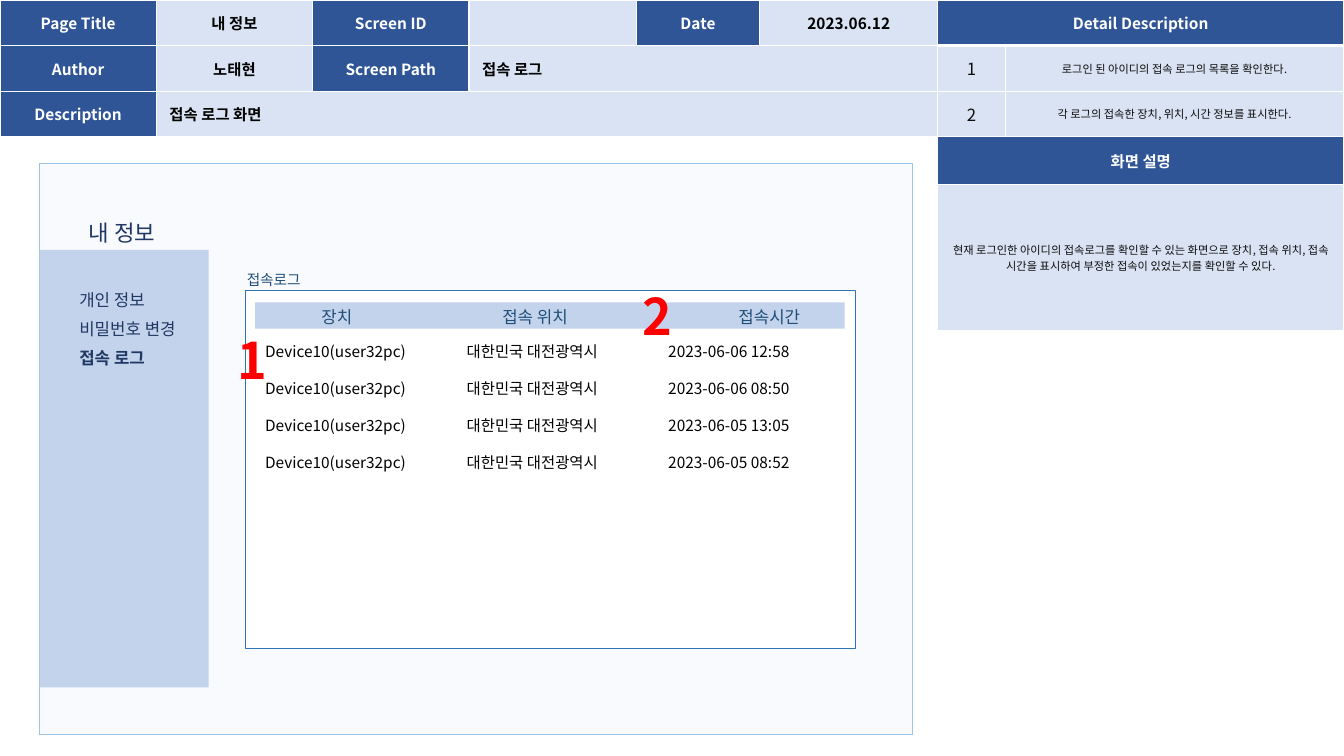
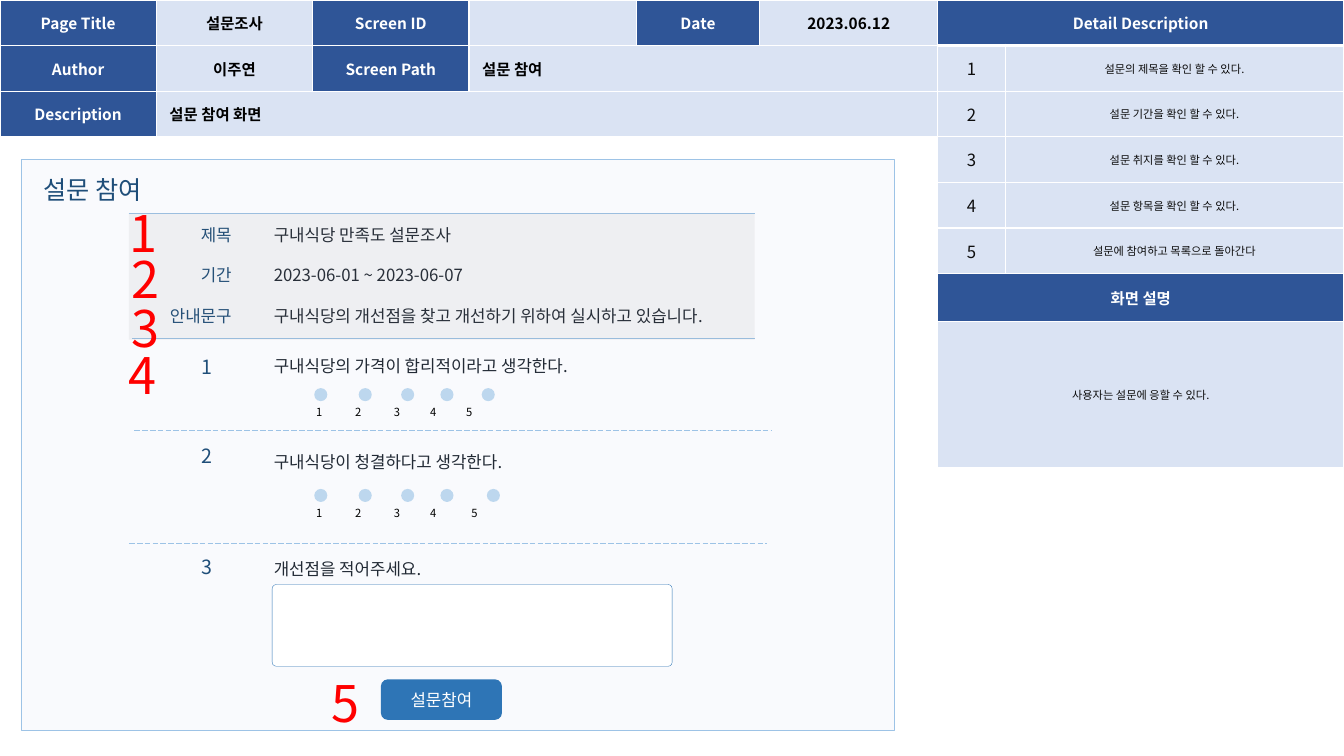
from lxml.etree import SubElement
from pptx import Presentation
from pptx.dml.color import RGBColor
from pptx.enum.dml import MSO_LINE
from pptx.enum.shapes import MSO_CONNECTOR, MSO_SHAPE
from pptx.enum.text import MSO_ANCHOR, MSO_AUTO_SIZE, PP_ALIGN
from pptx.oxml.ns import qn
from pptx.util import Cm, Pt

FONT = "Noto Sans CJK KR"
WHITE, BLACK, RED = "FFFFFF", "000000", "FF0000"
NAVY, PALE = "2F5597", "DAE3F3"
PANEL, PANEL_LINE = "F9FAFD", "9DC3E6"
SOFT_BLUE, BLUE, DOT = "B4C7E7", "2E75B6", "BDD7EE"
MENU_TEXT, LABEL_TEXT, BODY_TEXT, DETAIL_TEXT = "203864", "1F4E79", "222A35", "0D0D0D"
LINE_HEIGHT = 1.2
ROW_HEIGHT = 1.15


def color(value):
    return RGBColor.from_string(value)


def write(frame, text, size=11, ink=BLACK, bold=False, align=PP_ALIGN.LEFT,
          gap=0, tabs=(), tight=False):
    """Fill a frame, one paragraph a line; tabs are in cm, gap in points."""
    for index, line in enumerate(text.split("\n")):
        para = frame.add_paragraph() if index else frame.paragraphs[0]
        if tabs:
            stops = SubElement(para._p.get_or_add_pPr(), qn("a:tabLst"))
            for position in tabs:
                SubElement(stops, qn("a:tab"), pos=str(Cm(position)), algn="l")
        para.alignment = align
        if tight:
            para.line_spacing = Pt(size * LINE_HEIGHT)
        if index and gap:
            para.space_before = Pt(gap)
        span = para.add_run()
        span.text = line
        span.font.name = FONT
        span.font.size = Pt(size)
        span.font.bold = bold
        span.font.color.rgb = color(ink)
        SubElement(span._r.get_or_add_rPr(), qn("a:ea"), typeface=FONT)


class Storyboard:
    """Holds the deck, the current page and the look they share."""

    def __init__(self):
        self.deck = Presentation()
        self.deck.slide_width = Cm(33.87)
        self.deck.slide_height = Cm(19.05)
        self.page = None

    def start(self, name, author, path, description, details, summary, panel):
        self.page = self.deck.slides.add_slide(self.deck.slide_layouts[5])
        self.shape(*panel, 22, 14.4, PANEL, line=PANEL_LINE, weight=0.5)
        self.header_table(name, author, path, description)
        self.detail_table(details, summary)

    def title(self, text, left, top, size, ink):
        box = self.page.shapes.title
        box.left, box.top, box.width, box.height = Cm(left), Cm(top), Cm(8.3), Cm(1)
        self.set_frame(box.text_frame, size)
        write(box.text_frame, text, size=size, ink=ink, tight=True)
        box.element.getparent().append(box.element)

    def set_frame(self, frame, size):
        """Top anchor, with an inset that keeps the baseline steady at any size."""
        frame.word_wrap = True
        frame.auto_size = MSO_AUTO_SIZE.NONE
        frame.vertical_anchor = MSO_ANCHOR.TOP
        frame.margin_top = Pt(3.6 + 0.06 * size)

    def text(self, text, left, top, width=14.6, height=0.76, size=12, **style):
        box = self.page.shapes.add_textbox(Cm(left), Cm(top), Cm(width), Cm(height))
        self.set_frame(box.text_frame, size)
        write(box.text_frame, text, size=size, tight=True, **style)
        return box

    def marker(self, number, left, top, bold=False):
        self.text(str(number), left, top, 1.63, 1.8, size=36, ink=RED, bold=bold)

    def shape(self, left, top, width, height, fill, kind=MSO_SHAPE.RECTANGLE,
              line=None, weight=0.25, opacity=None, corner=None):
        shape = self.page.shapes.add_shape(kind, Cm(left), Cm(top), Cm(width), Cm(height))
        shape.shadow.inherit = False
        shape.fill.solid()
        shape.fill.fore_color.rgb = color(fill)
        if opacity is not None:
            tint = shape.element.spPr.find(qn("a:solidFill"))[0]
            SubElement(tint, qn("a:alpha"), val=str(opacity * 1000))
        if line:
            shape.line.color.rgb = color(line)
            shape.line.width = Pt(weight)
        else:
            shape.line.fill.background()
        if corner is not None:
            shape.adjustments[0] = corner
        return shape

    def rule(self, left, right, top, dashed=False):
        rule = self.page.shapes.add_connector(
            MSO_CONNECTOR.STRAIGHT, Cm(left), Cm(top), Cm(right), Cm(top))
        rule.line.color.rgb = color(PANEL_LINE)
        rule.line.width = Pt(0.5)
        if dashed:
            rule.line.dash_style = MSO_LINE.LONG_DASH
        SubElement(rule.element.spPr, qn("a:effectLst"))

    def button(self, text, *place):
        button = self.shape(*place, BLUE, MSO_SHAPE.ROUNDED_RECTANGLE)
        button.text_frame.vertical_anchor = MSO_ANCHOR.MIDDLE
        write(button.text_frame, text, size=12, ink=WHITE, align=PP_ALIGN.CENTER)

    def rating(self, top, dots, tabs):
        for left in dots:
            self.shape(left, top, 0.33, 0.33, DOT, MSO_SHAPE.OVAL)
        self.text("1\t2\t3\t4\t5", 7.72, top + 0.3, 6.1, 0.6, size=8, tabs=tabs)

    def table(self, left, columns, rows):
        frame = self.page.shapes.add_table(len(rows), len(columns), Cm(left), Cm(0),
                                           Cm(sum(columns)), Cm(sum(rows)))
        for column, width in zip(frame.table.columns, columns):
            column.width = Cm(width)
        for row, height in zip(frame.table.rows, rows):
            row.height = Cm(height)
        return frame.table

    def cell(self, cell, text="", fill=PALE, top=1, bottom=1, margin=0.33,
             align=PP_ALIGN.CENTER, **style):
        """Fill a cell; top and bottom are border widths in points."""
        cell.margin_left = cell.margin_right = Cm(margin)
        cell.margin_top = cell.margin_bottom = 0
        cell.vertical_anchor = MSO_ANCHOR.MIDDLE
        properties = cell._tc.get_or_add_tcPr()
        for side, weight in (("L", 1), ("R", 1), ("T", top), ("B", bottom)):
            edge = SubElement(properties, qn(f"a:ln{side}"), w=str(Pt(weight)))
            SubElement(SubElement(edge, qn("a:solidFill")), qn("a:srgbClr"), val=WHITE)
        cell.fill.solid()
        cell.fill.fore_color.rgb = color(fill)
        if text:
            write(cell.text_frame, text, align=align, **style)

    def header_table(self, name, author, path, description):
        rows = [["Page Title", name, "Screen ID", "", "Date", "2023.06.12"],
                ["Author", author, "Screen Path", path, "", ""],
                ["Description", description, "", "", "", ""]]
        label_columns = [(0, 2, 4), (0, 2), (0,)]
        wide_cells = [(1, 3), (2, 1)]
        table = self.table(0, [3.94, 3.94, 3.94, 4.22, 3.1, 4.5], [ROW_HEIGHT] * 3)
        for row, start in wide_cells:
            table.cell(row, start).merge(table.cell(row, 5))
        for row, texts in enumerate(rows):
            for column, text in enumerate(texts):
                label = column in label_columns[row]
                wide = (row, column) in wide_cells
                self.cell(table.cell(row, column), text, NAVY if label else PALE,
                          ink=WHITE if label else BLACK, bold=True,
                          align=PP_ALIGN.LEFT if wide else PP_ALIGN.CENTER)

    def detail_table(self, details, summary):
        count = len(details)
        table = self.table(23.63, [1.7, 8.54], [ROW_HEIGHT] * (count + 1) + [1.21, 3.68])
        heading = dict(fill=NAVY, ink=WHITE, bold=True)
        full_rows = [(0, "Detail Description", dict(heading, bottom=3)),
                     (count + 1, "화면 설명", heading),
                     (count + 2, summary, dict(size=8, ink=DETAIL_TEXT))]
        for row, text, style in full_rows:
            table.cell(row, 0).merge(table.cell(row, 1))
            self.cell(table.cell(row, 0), text, **style)
            self.cell(table.cell(row, 1), **style)
        for row, text in enumerate(details, 1):
            top = 3 if row == 1 else 1
            self.cell(table.cell(row, 0), str(row), top=top, size=12, ink=DETAIL_TEXT)
            self.cell(table.cell(row, 1), text, top=top, margin=0.25, size=8,
                      ink=DETAIL_TEXT)


def access_log(board):
    board.start("내 정보", "노태현", "접속 로그", "접속 로그 화면",
                ["로그인 된 아이디의 접속 로그의 목록을 확인한다.",
                 "각 로그의 접속한 장치, 위치, 시간 정보를 표시한다."],
                "현재 로그인한 아이디의 접속로그를 확인할 수 있는 화면으로 장치, 접속 위치, "
                "접속 시간을 표시하여 부정한 접속이 있었는지를 확인할 수 있다.",
                panel=(0.99, 4.11))
    board.title("내 정보", 1.98, 5.36, 16, MENU_TEXT)

    board.shape(0.99, 6.3, 4.27, 11.02, SOFT_BLUE, opacity=76)
    menu = board.text("개인 정보\n비밀번호 변경\n접속 로그", 1.75, 7.16, 6.55, 2.95,
                      ink=MENU_TEXT, gap=6)
    menu.text_frame.paragraphs[-1].runs[0].font.bold = True

    board.shape(6.17, 7.32, 15.39, 9.02, WHITE, MSO_SHAPE.ROUNDED_RECTANGLE,
                line=BLUE, corner=0)
    board.text("접속로그", 5.97, 6.68, 6.1, size=10.5, ink=LABEL_TEXT)
    board.shape(6.43, 7.62, 14.86, 0.66, SOFT_BLUE, opacity=78)
    board.text("장치\t접속 위치\t접속시간", 7.85, 7.57, ink=LABEL_TEXT, tabs=(4.56, 10.51))
    times = ["2023-06-06 12:58", "2023-06-06 08:50", "2023-06-05 13:05", "2023-06-05 08:52"]
    log = "\n".join(f"Device10(user32pc)\t대한민국 대전광역시\t{time}" for time in times)
    board.text(log, 6.43, 8.46, 15.3, 5.44, size=11, gap=13.2, tabs=(5.08, 10.16))

    board.marker(2, 15.93, 6.99, bold=True)
    board.marker(1, 5.74, 8.1, bold=True)


def survey(board):
    board.start("설문조사", "이주연", "설문 참여", "설문 참여 화면",
                ["설문의 제목을 확인 할 수 있다.", "설문 기간을 확인 할 수 있다.",
                 "설문 취지를 확인 할 수 있다.", "설문 항목을 확인 할 수 있다.",
                 "설문에 참여하고 목록으로 돌아간다"],
                "사용자는 설문에 응할 수 있다.", panel=(0.53, 4.01))
    board.title("설문 참여", 0.84, 4.22, 18, LABEL_TEXT)

    board.rule(3.25, 19.02, 5.38)
    board.rule(3.33, 19.02, 8.53)
    board.text("제목\n기간\n안내문구", 3.02, 5.51, 3.07, 2.82, ink=LABEL_TEXT,
               align=PP_ALIGN.RIGHT, gap=14.4)
    board.text("구내식당 만족도 설문조사\n2023-06-01 ~ 2023-06-07\n"
               "구내식당의 개선점을 찾고 개선하기 위하여 실시하고 있습니다.",
               6.65, 5.51, height=2.82, ink=BODY_TEXT, gap=14.4)
    board.shape(3.25, 5.38, 15.77, 3.18, "767171", opacity=8)

    questions = [("구내식당의 가격이 합리적이라고 생각한다.", 8.79, 8.81),
                 ("구내식당이 청결하다고 생각한다.", 11.02, 11.23),
                 ("개선점을 적어주세요.", 13.82, 13.92)]
    for number, (question, number_top, question_top) in enumerate(questions, 1):
        board.text(str(number), 4.83, number_top, 1.02, size=14, ink=LABEL_TEXT)
        board.text(question, 6.65, question_top, ink=BODY_TEXT)
    board.rule(3.38, 19.43, 10.85, dashed=True)
    board.rule(3.25, 19.33, 13.69, dashed=True)

    dots, tabs = [7.92, 9.04, 10.11, 11.1], [0.98, 1.96, 2.87]
    board.rating(9.78, dots + [12.14], tabs + [3.78])
    board.rating(12.32, dots + [12.27], tabs + [3.91])

    board.shape(6.86, 14.73, 10.08, 2.06, WHITE, MSO_SHAPE.ROUNDED_RECTANGLE,
                line=BLUE, corner=0.05)
    board.button("설문참여", 9.6, 17.12, 3.05, 1.02)
    places = [(3.02, 4.88), (3.07, 6.05), (3.07, 7.29), (3, 8.48), (8.1, 16.74)]
    for number, place in enumerate(places, 1):
        board.marker(number, *place)


def main():
    board = Storyboard()
    access_log(board)
    survey(board)
    board.deck.save("out.pptx")


if __name__ == "__main__":
    main()
